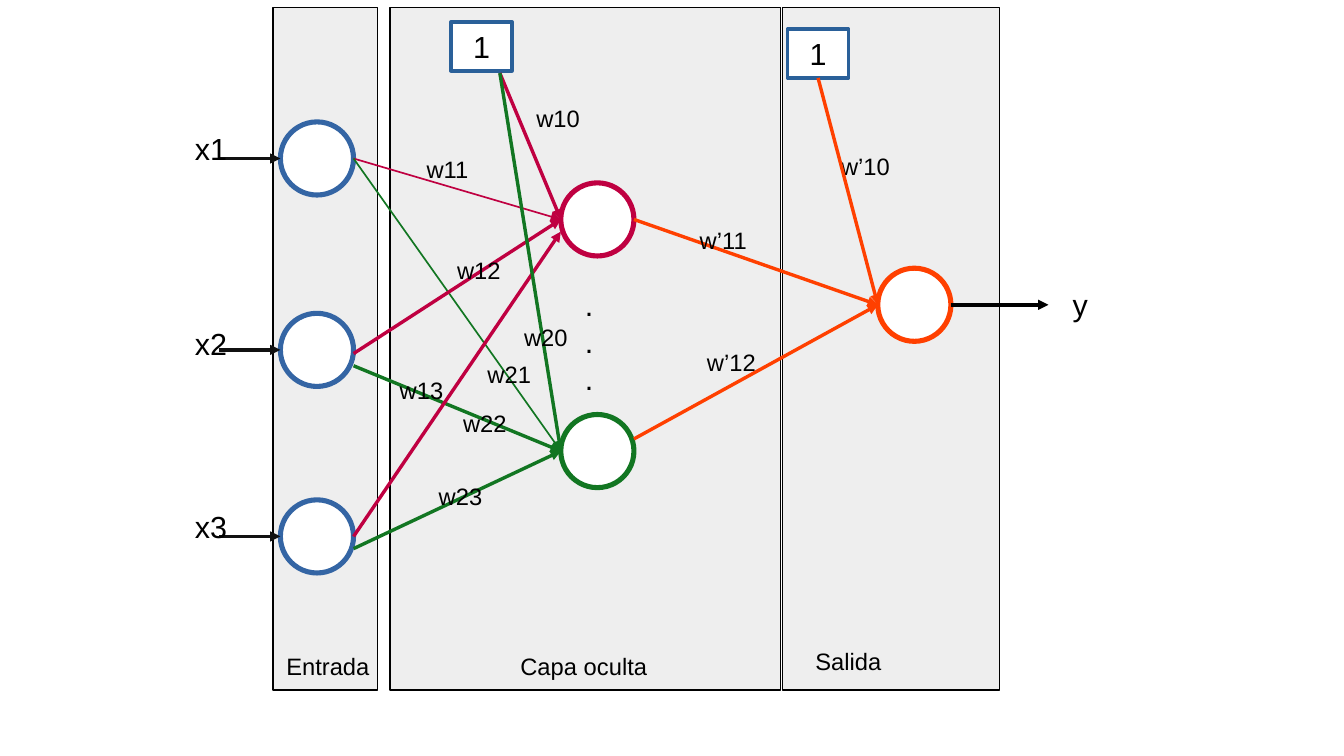
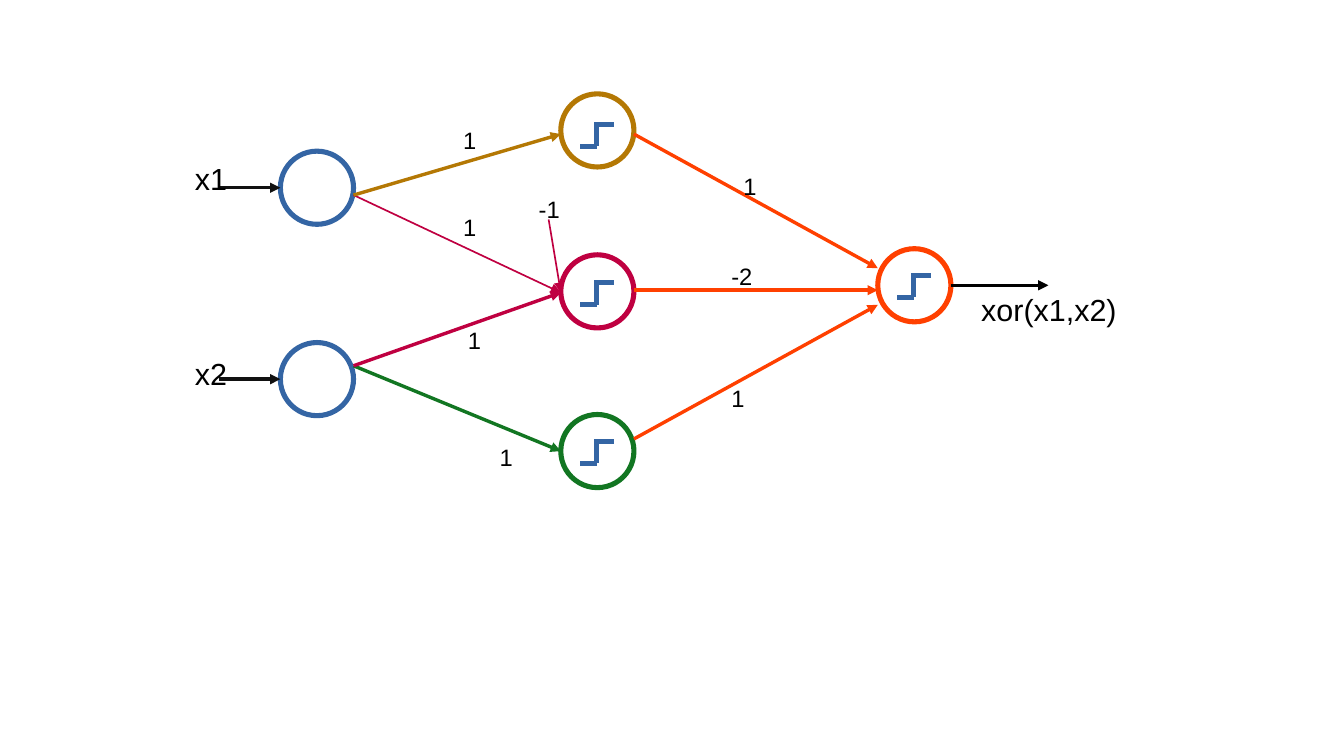
from lxml import etree
from pptx import Presentation
from pptx.dml.color import RGBColor
from pptx.enum.shapes import MSO_CONNECTOR, MSO_SHAPE
from pptx.enum.text import MSO_ANCHOR, PP_ALIGN
from pptx.oxml.ns import qn
from pptx.util import Cm, Pt

LINE = MSO_CONNECTOR.STRAIGHT
RECT, OVAL = MSO_SHAPE.RECTANGLE, MSO_SHAPE.OVAL
TOP, MIDDLE = MSO_ANCHOR.TOP, MSO_ANCHOR.MIDDLE
LEFT, CENTER = PP_ALIGN.LEFT, PP_ALIGN.CENTER
FONT = "Arial"
BIG, SMALL = 18, 14
DIAM = 0.6
IN_X, MID_X, OUT_X = 2.3, 4.6, 7.2
COLORS = {
    "black": "000000", "ink": "111111", "white": "FFFFFF", "gray": "EEEEEE",
    "blue": "3465A4", "navy": "2A6099", "red": "BF0041", "green": "127622",
    "orange": "FF4000", "gold": "B47804",
}


def grid(*vals):
    """Turn grid units of 2.54 cm into lengths."""
    return [Cm(2.54 * val) for val in vals]


def tint(name):
    """Return the named colour."""
    return RGBColor.from_string(COLORS[name])


def write(frame, text, size, align=LEFT, anchor=TOP):
    """Fill a text frame, one paragraph per line."""
    frame.word_wrap = True
    frame.vertical_anchor = anchor
    for num, row in enumerate(text.split("\n")):
        para = frame.add_paragraph() if num else frame.paragraphs[0]
        para.alignment = align
        run = para.add_run()
        run.text = row
        run.font.name, run.font.size = FONT, Pt(size)
        run.font.color.rgb = tint("black")


def label(slide, box, text, size=SMALL):
    """Place plain text in a box."""
    write(slide.shapes.add_textbox(*grid(*box)).text_frame, text, size)


def block(slide, kind, box, fill, edge, width):
    """Draw a filled and outlined shape."""
    shape = slide.shapes.add_shape(kind, *grid(*box))
    shape.shadow.inherit = False
    shape.fill.solid()
    shape.fill.fore_color.rgb = tint(fill)
    shape.line.color.rgb = tint(edge)
    shape.line.width = Pt(width)
    return shape


def link(shapes, start, end, color, width=0, head=True):
    """Draw a straight line, with an arrowhead at its end if wanted."""
    line = shapes.add_connector(LINE, *grid(*start, *end))
    line.line.color.rgb = tint(color)
    line.line.width = Pt(width)
    props = line._element.spPr
    if head:
        etree.SubElement(props.find(qn("a:ln")), qn("a:tailEnd"), type="triangle")
    etree.SubElement(props, qn("a:effectLst"))
    return line


def panel(slide, box, title, shift, width):
    """Draw a layer panel with its title near the bottom."""
    block(slide, RECT, box, "gray", "black", 0)
    label(slide, (box[0] + shift[0], box[1] + shift[1], width, 0.32), title)


def bias(slide, left, top):
    """Draw a bias unit."""
    shape = block(slide, RECT, (left, top, 0.5, 0.4), "white", "navy", 2.3)
    write(shape.text_frame, "1", BIG, CENTER, MIDDLE)
    return shape


def node(slide, left, top, color):
    """Draw a neuron ring."""
    block(slide, OVAL, (left, top, DIAM, DIAM), "white", color, 3)


def step(slide, left, top):
    """Draw the step function icon as a group."""
    shapes = slide.shapes.add_group_shape().shapes
    for x1, y1, x2, y2 in ((0, 0.2, 0.14, 0.2), (0.13, 0.02, 0.28, 0.02),
                           (0.13, 0.2, 0.13, 0)):
        link(shapes, (left + x1, top + y1), (left + x2, top + y2), "blue", 3, False)


def source(slide, top, text, drop):
    """Draw an input neuron with its arrow and name."""
    mid = top + DIAM / 2
    node(slide, IN_X, top, "blue")
    link(slide.shapes, (IN_X - 0.5, mid), (IN_X, mid), "ink")
    label(slide, (IN_X - 0.8, top + drop, 0.5, 0.4), text, BIG)


def sink(slide, top, text, shift, width):
    """Draw the output neuron with its arrow and name."""
    mid, side = top + DIAM / 2, OUT_X + DIAM
    node(slide, OUT_X, top, "orange")
    link(slide.shapes, (side, mid), (side + 0.8, mid), "black")
    label(slide, (side + shift[0], mid + shift[1], width, 0.4), text, BIG)


def wires(slide, edges, marks, width):
    """Draw weighted links, then their labels."""
    for edge in edges:
        link(slide.shapes, *edge)
    for left, top, text in marks:
        label(slide, (left, top, width, 0.4), text)


def layers(slide):
    """Build the network with one hidden layer."""
    for left, wide, title, shift, width in (
            (2.24, 0.86, "Entrada", (0.01, 5.24), 1.1),
            (6.42, 1.78, "Salida", (0.17, 5.2), 1.4),
            (3.2, 3.2, "Capa oculta", (0.97, 5.24), 1.4)):
        panel(slide, (left, 0.06, wide, 5.6), title, shift, width)
    for top, text, drop in ((1, "x1", 0.02), (2.57, "x2", 0.05), (4.1, "x3", 0.02)):
        source(slide, top, text, drop)
    node(slide, MID_X, 1.5, "red")
    node(slide, MID_X, 3.4, "green")
    sink(slide, 2.2, "y", (0.9, -0.2), 0.4)
    label(slide, (4.7, 2.3, 0.6, 0.94), ".\n.\n.", BIG)
    bias(slide, 3.7, 0.18)
    unit = bias(slide, 6.46, 0.24)
    red, green, out = (MID_X, 1.8), (MID_X, 3.7), (OUT_X, 2.5)
    wires(slide, (
        ((2.9, 1.3), red, "red", 1),
        ((2.9, 1.3), green, "green", 1),
        ((2.9, 3), green, "green"),
        ((2.9, 4.5), green, "green"),
        ((2.9, 2.9), red, "red"),
        ((2.9, 4.4), (MID_X, 1.9), "red"),
        ((4.1, 0.6), red, "red"),
        ((4.1, 0.6), green, "green"),
        ((5.2, 1.8), out, "orange"),
        ((5.2, 3.6), out, "orange"),
    ), (
        (3.4, 1.22, "w11"), (3.65, 2.05, "w12"), (3.18, 3.03, "w13"),
        (4.3, 0.8, "w10"), (3.9, 2.9, "w21"), (3.7, 3.3, "w22"),
        (4.2, 2.6, "w20"), (3.5, 3.9, "w23"), (5.64, 1.8, "w’11"),
        (5.7, 2.8, "w’12"), (6.8, 1.2, "w’10"),
    ), 0.65)
    link(slide.shapes, (6.71, 0.64), out, "orange").begin_connect(unit, 2)


def xor(slide):
    """Build the network that computes xor."""
    source(slide, 1.24, "x1", 0.02)
    source(slide, 2.81, "x2", 0.05)
    for top, color, rise in ((0.77, "gold", 1), (2.09, "red", 2.3),
                             (3.4, "green", 3.6)):
        node(slide, MID_X, top, color)
        step(slide, MID_X + 0.16, rise)
    sink(slide, 2.04, "xor(x1,x2)", (0.15, 0), 1.4)
    step(slide, OUT_X + 0.16, 2.24)
    red = (MID_X, 2.4)
    wires(slide, (
        ((2.9, 1.6), red, "red", 1),
        ((2.9, 3), (MID_X, 3.7), "green"),
        ((2.9, 3), red, "red"),
        ((5.2, 2.38), (OUT_X, 2.38), "orange"),
        ((5.2, 3.6), (OUT_X, 2.5), "orange"),
        ((5.2, 1.1), (OUT_X, 2.2), "orange"),
        ((2.9, 1.6), (MID_X, 1.1), "gold"),
        ((4.5, 1.8), red, "red", 1),
    ), (
        (4, 3.58, "1"), (5.9, 2.1, "-2"), (5.9, 3.1, "1"), (6, 1.36, "1"),
        (4.32, 1.55, "-1"), (3.74, 2.62, "1"), (3.7, 1.7, "1"), (3.7, 0.98, "1"),
    ), 0.4)


def main():
    """Build and save the slides."""
    deck = Presentation()
    deck.slide_width, deck.slide_height = Cm(28), Cm(15.75)
    for build in (layers, xor):
        build(deck.slides.add_slide(deck.slide_layouts[6]))
    deck.save("out.pptx")


if __name__ == "__main__":
    main()
